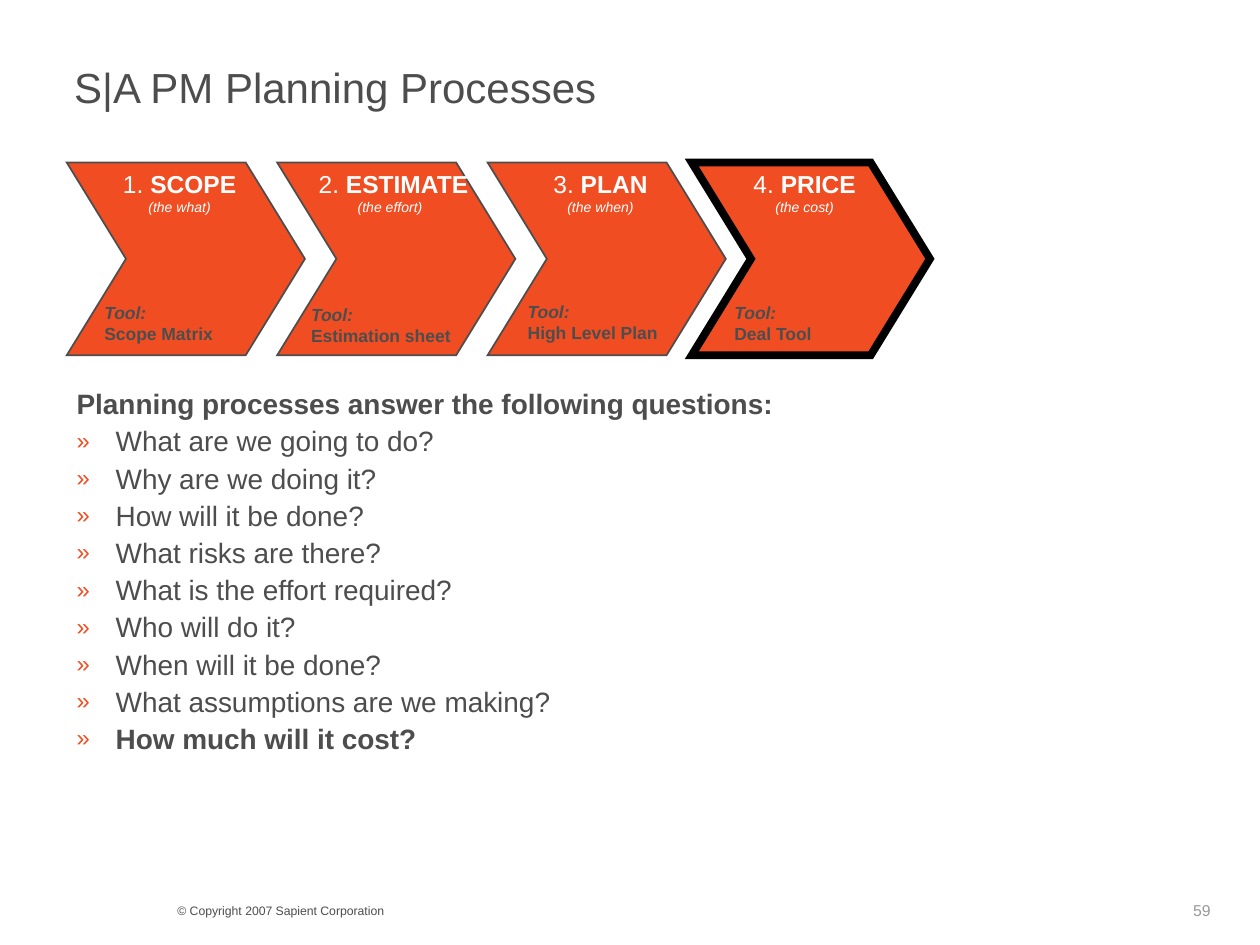
from dataclasses import dataclass

from lxml import etree
from pptx import Presentation
from pptx.dml.color import RGBColor
from pptx.enum.text import MSO_ANCHOR, MSO_AUTO_SIZE, PP_ALIGN
from pptx.oxml.ns import qn
from pptx.util import Inches, Pt

FONT = "Arial"
ORANGE = RGBColor(0xF0, 0x4E, 0x22)
DARK_GRAY = RGBColor(0x4D, 0x4D, 0x4D)
LIGHT_GRAY = RGBColor(0x99, 0x99, 0x99)
WHITE = RGBColor(0xFF, 0xFF, 0xFF)
BLACK = RGBColor(0x00, 0x00, 0x00)

CENTER = PP_ALIGN.CENTER
TOP = MSO_ANCHOR.TOP
FIT_SHAPE = MSO_AUTO_SIZE.SHAPE_TO_FIT_TEXT

CHEVRON_TOP = 1.29
CHEVRON_WIDTH = 1.89
CHEVRON_HEIGHT = 1.53
CHEVRON_POINT = 0.47
BULLET_INDENT = 0.31


@dataclass(frozen=True)
class Step:
    number: str
    name: str
    subject: str
    tool: str
    left: float
    tool_left: float
    tool_top: float
    tool_width: float
    line_color: RGBColor = DARK_GRAY
    line_width: float = 1


STEPS = [
    Step("1. ", "SCOPE", "(the what)", "Scope Matrix", 0.53, 0.73, 2.35, 1.06),
    Step(" 2. ", "ESTIMATE", "(the effort)", "Estimation sheet", 2.2, 2.37, 2.36, 1.32),
    Step("3. ", "PLAN", "(the when)", "High Level Plan", 3.87, 4.09, 2.34, 1.23),
    Step("4. ", "PRICE", "(the cost)", "Deal Tool", 5.49, 5.73, 2.35, 0.82, BLACK, 4.5),
]

HEADING = "Planning processes answer the following questions:"
QUESTIONS = [
    "What are we going to do?",
    "Why are we doing it?",
    "How will it be done?",
    "What risks are there?",
    "What is the effort required?",
    "Who will do it?",
    "When will it be done?",
    "What assumptions are we making?",
    "How much will it cost?",
]


def style(font, size: float, color: RGBColor, bold: bool = False, italic: bool = False) -> None:
    font.name = FONT
    font.size = Pt(size)
    font.color.rgb = color
    font.bold = bold
    font.italic = italic


def add_text(slide, left: float, top: float, width: float, height: float,
             text: str, size: float, color: RGBColor):
    shape = slide.shapes.add_textbox(Inches(left), Inches(top), Inches(width), Inches(height))
    text_frame = shape.text_frame
    text_frame.word_wrap = True
    text_frame.vertical_anchor = TOP
    text_frame.text = text
    for paragraph in text_frame.paragraphs:
        for run in paragraph.runs:
            style(run.font, size, color)
    return text_frame


def add_chevron(slide, step: Step) -> None:
    shoulder = step.left + CHEVRON_WIDTH - CHEVRON_POINT
    middle = CHEVRON_TOP + CHEVRON_HEIGHT / 2
    bottom = CHEVRON_TOP + CHEVRON_HEIGHT
    outline = [
        (shoulder, CHEVRON_TOP),
        (step.left + CHEVRON_WIDTH, middle),
        (shoulder, bottom),
        (step.left, bottom),
        (step.left + CHEVRON_POINT, middle),
    ]
    builder = slide.shapes.build_freeform(Inches(step.left), Inches(CHEVRON_TOP))
    builder.add_line_segments([(Inches(x), Inches(y)) for x, y in outline], close=True)
    shape = builder.convert_to_shape()
    shape.shadow.inherit = False
    shape.fill.solid()
    shape.fill.fore_color.rgb = ORANGE
    shape.line.color.rgb = step.line_color
    shape.line.width = Pt(step.line_width)
    line_properties = shape.element.spPr.find(qn("a:ln"))
    etree.SubElement(line_properties, qn("a:miter"), lim="800000")

    text_frame = shape.text_frame
    text_frame.margin_left = 0
    text_frame.word_wrap = False
    text_frame.vertical_anchor = TOP
    text_frame.text = f"{step.number}\n{step.subject}"
    title, subject = text_frame.paragraphs
    title.add_run().text = step.name
    title.alignment = subject.alignment = CENTER
    number_run, name_run = title.runs
    style(number_run.font, 14, WHITE)
    style(name_run.font, 14, WHITE, bold=True)
    style(subject.runs[0].font, 8, WHITE, italic=True)


def add_tool(slide, step: Step) -> None:
    text_frame = add_text(slide, step.tool_left, step.tool_top, step.tool_width, 0.44,
                          f"Tool:\n{step.tool}", 10, DARK_GRAY)
    text_frame.word_wrap = False
    text_frame.auto_size = FIT_SHAPE
    label, tool = text_frame.paragraphs
    label.runs[0].font.bold = tool.runs[0].font.bold = True
    label.runs[0].font.italic = True


def add_bullet(paragraph) -> None:
    properties = paragraph._p.get_or_add_pPr()
    properties.set("marL", str(Inches(BULLET_INDENT)))
    properties.set("indent", str(-Inches(BULLET_INDENT)))
    bullet_color = etree.SubElement(properties, qn("a:buClr"))
    etree.SubElement(bullet_color, qn("a:srgbClr"), val=str(ORANGE))
    etree.SubElement(properties, qn("a:buSzPct"), val="85000")
    etree.SubElement(properties, qn("a:buFont"), typeface=FONT)
    etree.SubElement(properties, qn("a:buChar"), char="»")


def add_questions(slide) -> None:
    text_frame = add_text(slide, 0.51, 3.05, 8.99, 3.09,
                          "\n".join([HEADING, *QUESTIONS]), 16, DARK_GRAY)
    heading, *questions = text_frame.paragraphs
    heading.line_spacing = 0.9
    for question in questions:
        add_bullet(question)
        question.line_spacing = 0.9
        question.space_before = Pt(4)
    for paragraph in (heading, questions[-1]):
        paragraph.runs[0].font.bold = True


def main() -> None:
    presentation = Presentation()
    presentation.slide_width = Inches(10)
    presentation.slide_height = Inches(7.5)
    slide = presentation.slides.add_slide(presentation.slide_layouts[6])

    add_text(slide, 1.31, 7.12, 4, 0.22, "© Copyright 2007 Sapient Corporation", 7, DARK_GRAY)
    page_number = add_text(slide, 9.38, 7.11, 0.75, 0.24, "59", 9, LIGHT_GRAY)
    page_number.margin_left = page_number.margin_right = Inches(0.09)
    page_number.margin_top = page_number.margin_bottom = Inches(0.04)
    add_text(slide, 0.49, 0.44, 9.01, 0.55, "S|A PM Planning Processes", 24, DARK_GRAY)
    for step in STEPS:
        add_chevron(slide, step)
    for step in STEPS:
        add_tool(slide, step)
    add_questions(slide)
    presentation.save("out.pptx")


if __name__ == "__main__":
    main()
